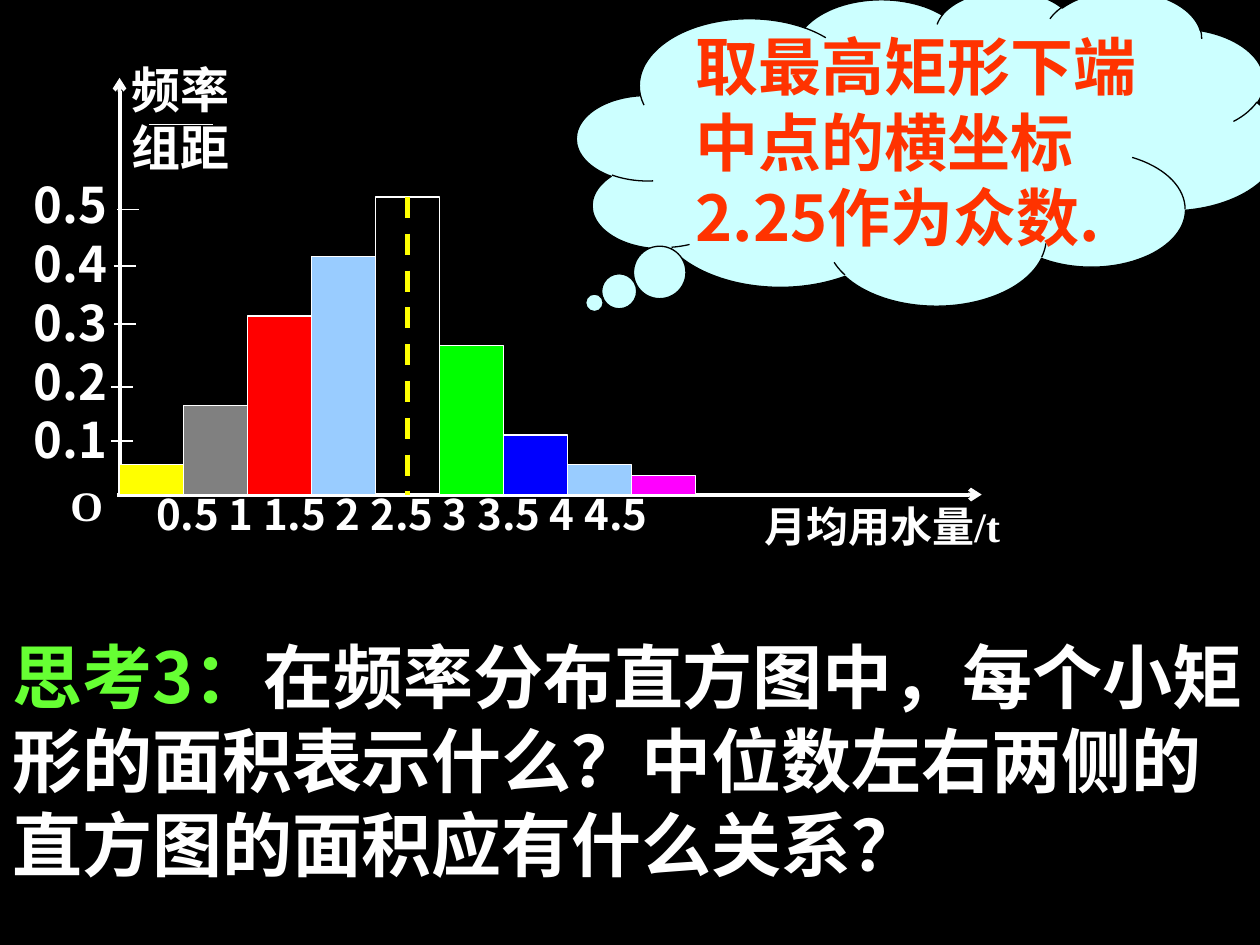
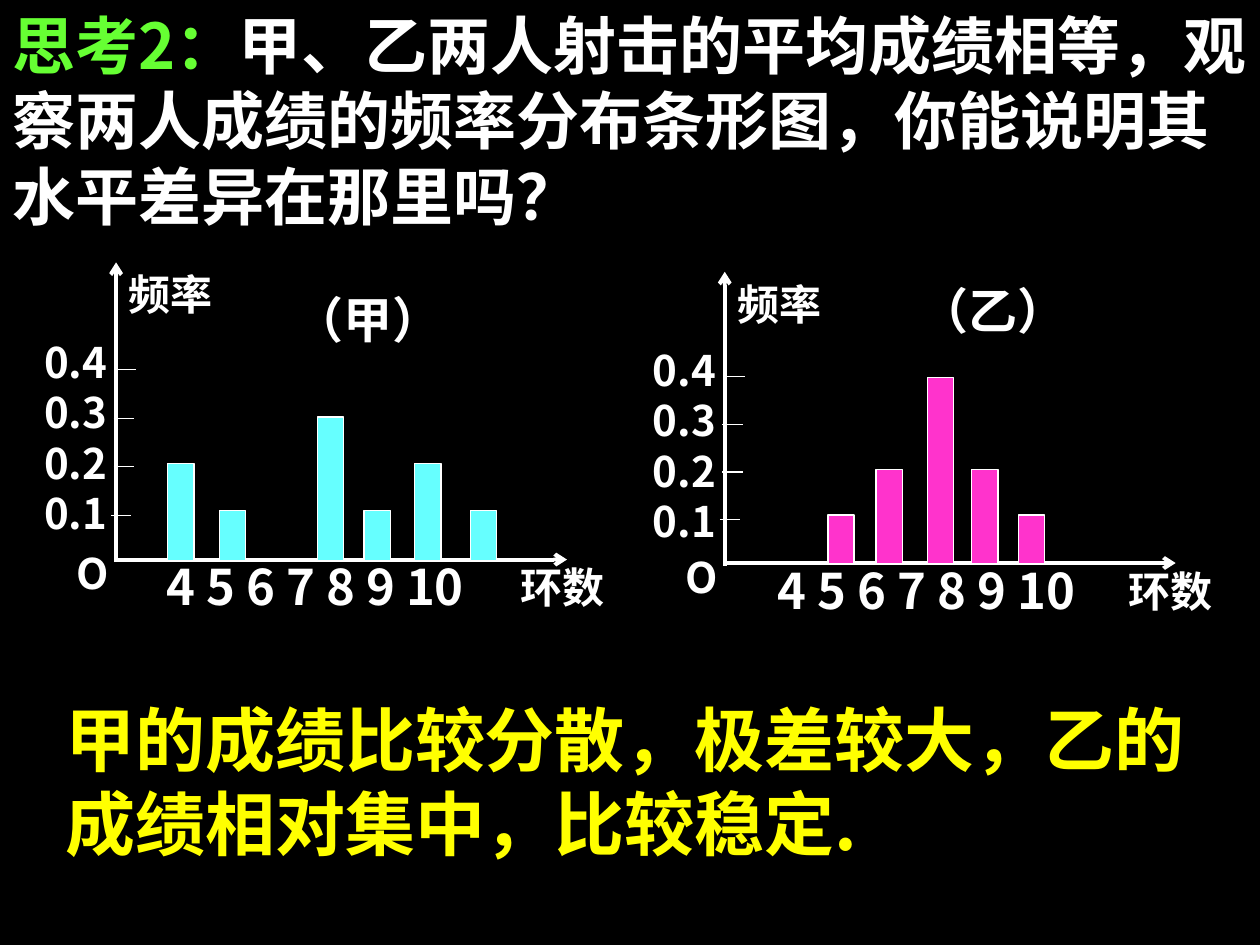
import pptx
import pptx.dml.color
import pptx.enum.dml
import pptx.enum.shapes
import pptx.oxml.ns
import pptx.util
from lxml import etree
from pptx.util import Cm

RGBColor = pptx.dml.color.RGBColor
Shapes = pptx.enum.shapes.MSO_SHAPE

BLACK = RGBColor(0x00, 0x00, 0x00)
WHITE = RGBColor(0xFF, 0xFF, 0xFF)
YELLOW = RGBColor(0xFF, 0xFF, 0x00)
GRAY = RGBColor(0x80, 0x80, 0x80)
RED = RGBColor(0xFF, 0x00, 0x00)
SKY = RGBColor(0x99, 0xCC, 0xFF)
GREEN = RGBColor(0x00, 0xFF, 0x00)
BLUE = RGBColor(0x00, 0x00, 0xFF)
MAGENTA = RGBColor(0xFF, 0x00, 0xFF)
LIME = RGBColor(0x66, 0xFF, 0x33)
ORANGE = RGBColor(0xFF, 0x33, 0x00)
PALE_CYAN = RGBColor(0xCC, 0xFF, 0xFF)
CYAN = RGBColor(0x66, 0xFF, 0xFF)
PINK = RGBColor(0xFF, 0x33, 0xCC)

SANS = "Noto Sans CJK SC"
SERIF = "Times New Roman"
LINE_HEIGHT = 1.2

# All lengths below are centimetres.
SLIDE_WIDTH, SLIDE_HEIGHT = 25.4, 19.05

WATER_QUESTION = [
    ("思考3：", LIME),
    ("在频率分布直方图中，每个小矩形的面积表示什么？"
     "中位数左右两侧的直方图的面积应有什么关系？", WHITE),
]
MODE_HINT = "取最高矩形下端中点的横坐标2.25作为众数."
WATER_BARS = [  # height, fill
    (0.6, YELLOW), (1.8, GRAY), (3.6, RED), (4.8, SKY), (6, None),
    (3, GREEN), (1.2, BLUE), (0.6, SKY), (0.38, MAGENTA),
]
WATER_TICKS = [(2.36, 4.22), (2.29, 5.36), (2.29, 6.53), (2.24, 7.8), (2.24, 8.89)]
WATER_LABELS = [  # text, place, size, font
    ("月均用水量/t", (15.16, 9.96, 5.79, 1.8), 24, SERIF),
    ("频率\n组距", (2.41, 1.07, 2.57, 3), 28, SERIF),
    ("0.5\n0.4\n0.3\n0.2\n0.1", (0.43, 3.4, 2.57, 6.58), 28, SANS),
    ("0.5 1 1.5 2 2.5 3 3.5 4 4.5", (2.9, 9.73, 12.8, 1.8), 24, SANS),
    ("O", (1.17, 9.55, 1.3, 1.8), 24, SERIF),
]

SHOOTING_QUESTION = [
    ("思考2：", LIME),
    ("甲、乙两人射击的平均成绩相等，观察两人成绩的频率分布条形图，"
     "你能说明其水平差异在那里吗？", WHITE),
]
SHOOTING_ANSWER = "甲的成绩比较分散，极差较大，乙的成绩相对集中，比较稳定."
SHOOTERS = [  # bars are (distance from the vertical axis, frequency)
    dict(name="（甲）", name_at=(3.35, -5.56), origin=(2.34, 11.28), stretch=1,
         numbers_left=0.76, color=CYAN,
         bars=[(1.04, 0.2), (2.08, 0.1), (4.06, 0.3),
               (5, 0.1), (6.02, 0.2), (7.14, 0.1)]),
    dict(name="（乙）", name_at=(3.68, -5.94), origin=(14.61, 11.35), stretch=0.98,
         numbers_left=0.81, color=PINK,
         bars=[(2.08, 0.1), (3.05, 0.2), (4.09, 0.4), (4.98, 0.2), (5.92, 0.1)]),
]
SHOOTING_TICK_SHIFTS = [-0.1, -0.05, -0.05, 0]


def format_run(span, size, color, font):
    span.font.size = pptx.util.Pt(size)
    span.font.bold = True
    span.font.color.rgb = color
    span.font.name = font
    east_asian = etree.SubElement(span.font._element, pptx.oxml.ns.qn("a:ea"))
    east_asian.set("typeface", SANS)


def add_text(page, text, place, size, color=WHITE, font=SANS):
    """Add a text box; text is a string, or (text, colour) pairs for one paragraph."""
    frame = page.shapes.add_textbox(*map(Cm, place)).text_frame
    frame.word_wrap = True
    if isinstance(text, str):
        frame.text = text
        for span in [span for para in frame.paragraphs for span in para.runs]:
            format_run(span, size, color, font)
    else:
        for part, part_color in text:
            span = frame.paragraphs[0].add_run()
            span.text = part
            format_run(span, size, part_color, font)
    for para in frame.paragraphs:
        para.line_spacing = pptx.util.Pt(size * LINE_HEIGHT)


def add_line(page, start, end, color=WHITE, width=0.75, arrow=False, dashed=False):
    line = page.shapes.add_connector(
        pptx.enum.shapes.MSO_CONNECTOR.STRAIGHT, *map(Cm, start + end))
    line.line.color.rgb = color
    line.line.width = pptx.util.Pt(width)
    if dashed:
        line.line.dash_style = pptx.enum.dml.MSO_LINE.DASH
    if arrow:
        outline = line.line._get_or_add_ln()
        etree.SubElement(outline, pptx.oxml.ns.qn("a:tailEnd")).set("type", "arrow")
    etree.SubElement(line._element.spPr, pptx.oxml.ns.qn("a:effectLst"))


def add_axis(page, start, end):
    add_line(page, start, end, width=2.25, arrow=True)


def add_filled(page, kind, place, fill, outline=WHITE):
    shape = page.shapes.add_shape(kind, *map(Cm, place))
    shape.shadow.inherit = False
    if fill is None:
        shape.fill.background()
    else:
        shape.fill.solid()
        shape.fill.fore_color.rgb = fill
    shape.line.color.rgb = outline
    shape.line.width = pptx.util.Pt(0.75)
    return shape


def add_bar(page, left, base, width, height, fill):
    add_filled(page, Shapes.RECTANGLE, (left, base - height, width, height), fill)


def build_water_page(page):
    left, base, bar_width = 2.41, 9.97, 1.29
    for label, place, size, font in WATER_LABELS:
        add_text(page, label, place, size, font=font)
    add_axis(page, (2.36, base), (19.79, base))
    add_axis(page, (left, base), (left, 1.57))
    add_line(page, (3, 2.51), (4.29, 2.51))
    for x, y in WATER_TICKS:
        add_line(page, (x, y), (x + 0.45, y))
    for index, (height, fill) in enumerate(WATER_BARS):
        add_bar(page, left + index * bar_width, base, bar_width, height, fill)

    heights = [height for height, fill in WATER_BARS]
    highest = max(heights)
    middle = left + (heights.index(highest) + 0.5) * bar_width
    add_line(page, (middle, base - highest), (middle, base), YELLOW, 3, dashed=True)

    add_text(page, WATER_QUESTION, (0, 12.65, SLIDE_WIDTH, 5.33), 40)
    cloud = add_filled(page, Shapes.CLOUD_CALLOUT, (11.63, -0.2, 14.17, 6.35),
                       PALE_CYAN, BLACK)
    cloud.adjustments[0], cloud.adjustments[1] = -0.475, 0.493
    add_text(page, MODE_HINT, (13.77, 0.43, 10.36, 4.83), 36, ORANGE)


def add_shooter_chart(page, shooter):
    """Draw one bar diagram, with everything placed from its origin."""
    x, y = shooter["origin"]
    stretch = shooter["stretch"]
    name_left, name_top = shooter["name_at"]
    labels = [  # text, left, top, width, height, size, font
        ("环数", 7.9, -0.08, 2.9, 1.52, 24, SERIF),
        ("频率", 0, -5.99, 2.26, 1.52, 24, SERIF),
        ("0.4\n0.3\n0.2\n0.1", -1.7, -4.62, 2.26, 4.52, 24, SANS),
        ("4 5 6 7 8 9 10", shooter["numbers_left"], -0.18, 9.1, 1.52, 28, SANS),
        ("O", -1.04, -0.36, 1.14, 1.52, 24, SANS),
        (shooter["name"], name_left, name_top, 3.81, 1.52, 28, SERIF),
    ]
    for text, left, top, width, height, size, font in labels:
        add_text(page, text, (x + left, y + top * stretch, width, height), size, font=font)
    add_axis(page, (x, y), (x + 9.09, y))
    for index, shift in enumerate(SHOOTING_TICK_SHIFTS):
        tick = y - (0.89 + 0.98 * index) * stretch
        add_line(page, (x + shift, tick), (x + shift + 0.41, tick))
    add_axis(page, (x, y + 0.05), (x, y - 5.99 * stretch))
    for left, frequency in shooter["bars"]:
        height = (0.07 + 9.4 * frequency) * stretch
        add_bar(page, x + left, y + 0.02, 0.53, height, shooter["color"])


def build_shooting_page(page):
    add_text(page, SHOOTING_QUESTION, (0, 0, SLIDE_WIDTH, 4.83), 36)
    for shooter in SHOOTERS:
        add_shooter_chart(page, shooter)
    add_text(page, SHOOTING_ANSWER, (1.07, 13.92, 23.29, 3.66), 40, YELLOW)


def main():
    deck = pptx.Presentation()
    deck.slide_width, deck.slide_height = Cm(SLIDE_WIDTH), Cm(SLIDE_HEIGHT)
    background = deck.slide_master.background.fill
    background.solid()
    background.fore_color.rgb = BLACK
    blank = deck.slide_layouts.get_by_name("Blank")
    for build in (build_water_page, build_shooting_page):
        build(deck.slides.add_slide(blank))
    deck.save("out.pptx")


if __name__ == "__main__":
    main()
